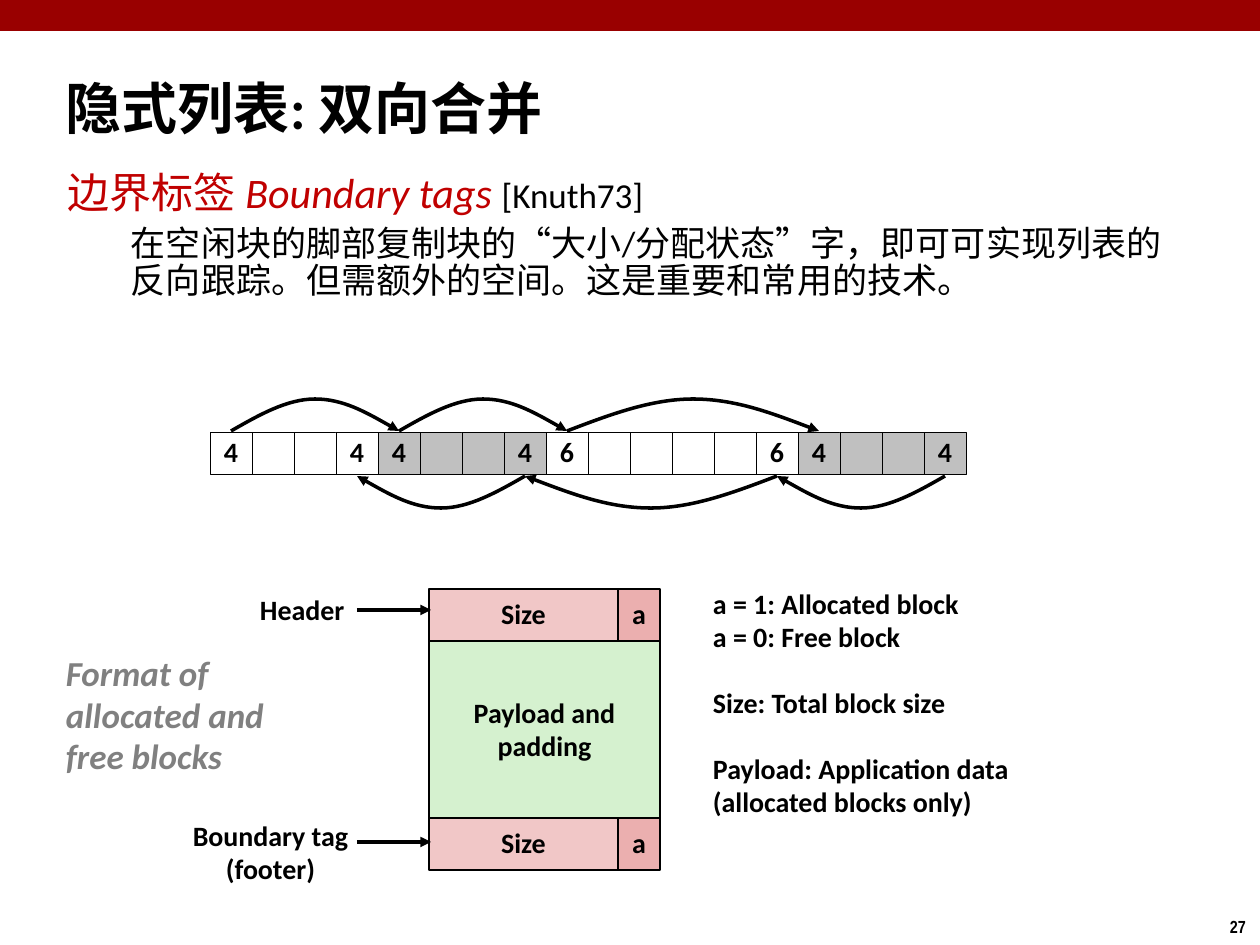
from dataclasses import dataclass
from itertools import accumulate

from lxml import etree
from pptx import Presentation
from pptx.dml.color import RGBColor
from pptx.enum.shapes import MSO_CONNECTOR, MSO_SHAPE
from pptx.enum.text import MSO_ANCHOR, PP_ALIGN
from pptx.oxml.ns import qn
from pptx.util import Emu, Pt

RECTANGLE = MSO_SHAPE.RECTANGLE
STRAIGHT = MSO_CONNECTOR.STRAIGHT
TOP, MIDDLE = MSO_ANCHOR.TOP, MSO_ANCHOR.MIDDLE
LEFT, CENTER = PP_ALIGN.LEFT, PP_ALIGN.CENTER
SCALE = 914400 / 126


@dataclass(frozen=True)
class Theme:
    font: str = "Calibri"
    number_font: str = "Arial Narrow"
    black: str = "000000"
    white: str = "FFFFFF"
    banner: str = "990000"
    accent: str = "C00000"
    caption: str = "808080"
    allocated: str = "C0C0C0"
    size_field: str = "F1C7C7"
    flag_field: str = "EBAFAF"
    payload: str = "D5F1CF"
    title_size: int = 32
    heading_size: int = 24
    body_size: int = 20
    label_size: int = 16
    number_size: int = 10
    cell_line: float = 0.25
    block_line: float = 1
    arrow_line: float = 2


THEME = Theme()
LABEL = {"name": THEME.font, "size": THEME.label_size, "bold": True, "color": THEME.black}
BODY = {"name": THEME.font, "size": THEME.body_size, "color": THEME.black}


def px(value):
    return Emu(round(value * SCALE))


def set_values(target, values):
    for name, value in values.items():
        setattr(target, name, value)


def add_span(para, text, style):
    span = para.add_run()
    span.text = text
    values = dict(style)
    span.font.color.rgb = RGBColor.from_string(values.pop("color"))
    values["size"] = Pt(values["size"])
    set_values(span.font, values)


def add_paragraphs(frame, lines, style, **layout):
    for index, line in enumerate(lines):
        para = frame.add_paragraph() if index else frame.paragraphs[0]
        set_values(para, layout)
        add_span(para, line, style)


def format_frame(frame, anchor=TOP, wrap=False):
    set_values(frame, {
        "vertical_anchor": anchor, "word_wrap": wrap,
        "margin_left": px(13), "margin_right": px(13),
        "margin_top": px(6), "margin_bottom": px(6),
    })


def add_text(page, box, lines, style=LABEL, align=LEFT, wrap=False):
    frame = page.shapes.add_textbox(*map(px, box)).text_frame
    format_frame(frame, wrap=wrap)
    add_paragraphs(frame, lines, style, alignment=align, line_spacing=0.98)
    return frame


def add_box(page, box, fill, line=None, lines=()):
    shape = page.shapes.add_shape(RECTANGLE, *map(px, box))
    shape.shadow.inherit = False
    shape.fill.solid()
    shape.fill.fore_color.rgb = RGBColor.from_string(fill)
    if line is None:
        shape.line.fill.background()
    else:
        shape.line.color.rgb = RGBColor.from_string(THEME.black)
        shape.line.width = Pt(line)
    format_frame(shape.text_frame, MIDDLE)
    add_paragraphs(shape.text_frame, lines, LABEL, alignment=CENTER, line_spacing=0.98)


def format_arrow(shape):
    shape.line.color.rgb = RGBColor.from_string(THEME.black)
    shape.line.width = Pt(THEME.arrow_line)
    line = shape.line._get_or_add_ln()
    etree.SubElement(line, qn("a:tailEnd"), type="triangle")


def add_arrow(page, start, end):
    arrow = page.shapes.add_connector(STRAIGHT, *map(px, start + end))
    format_arrow(arrow)
    etree.SubElement(arrow._element.spPr, qn("a:effectLst"))


def add_arc(page, start, end, base, peak):
    third = (end - start) / 6
    middle = (start + end) / 2
    bend = (base + peak) / 2
    points = [
        (start + third, bend), (middle - third, peak), (middle, peak),
        (middle + third, peak), (end - third, bend), (end, base),
    ]
    builder = page.shapes.build_freeform(start, base, scale=SCALE)
    builder.add_line_segments(points, close=False)
    arc = builder.convert_to_shape()
    segments = list(arc._element.iter(qn("a:lnTo")))
    for first in range(0, len(segments), 3):
        curve = etree.Element(qn("a:cubicBezTo"))
        segments[first].addprevious(curve)
        for segment in segments[first:first + 3]:
            curve.append(segment[0])
            segment.getparent().remove(segment)
    arc.shadow.inherit = False
    arc.fill.background()
    format_arrow(arc)


def add_title(page, text):
    title = page.shapes.title
    set_values(title, {"left": px(53), "top": px(68), "width": px(1207), "height": px(79)})
    format_frame(title.text_frame, MIDDLE, wrap=True)
    style = {**LABEL, "size": THEME.title_size}
    add_paragraphs(title.text_frame, [text], style, alignment=LEFT)


def add_body(page):
    frame = page.shapes.add_textbox(*map(px, (55, 169, 1145, 173))).text_frame
    format_frame(frame, wrap=True)
    heading = frame.paragraphs[0]
    heading.line_spacing = 0.83
    accent = {"name": THEME.font, "size": THEME.heading_size, "color": THEME.accent}
    add_span(heading, "边界标签 ", accent)
    add_span(heading, "Boundary tags ", {**accent, "italic": True})
    add_span(heading, "[Knuth73]", BODY)
    detail = frame.add_paragraph()
    set_values(detail, {"line_spacing": 0.88, "space_before": Pt(5.6)})
    properties = detail._p.get_or_add_pPr()
    properties.set("marL", str(px(63)))
    properties.set("indent", "0")
    add_span(detail, "在空闲块的脚部复制块的“大小/分配状态”字，即可可实现列表的"
             "反向跟踪。但需额外的空间。这是重要和常用的技术。", BODY)


def add_heap(page):
    left, top, cell = 210, 432, 42
    lengths = [4, 4, 6, 4]
    fills = [THEME.white, THEME.allocated] * 2
    starts = list(accumulate(lengths[:-1], initial=0))
    for start, length, fill in zip(starts, lengths, fills):
        for index in range(length):
            lines = [str(length)] if index in (0, length - 1) else []
            box = (left + (start + index) * cell, top, cell, cell)
            add_box(page, box, fill, THEME.cell_line, lines)
    headers = [left + start * cell + cell // 2 for start in starts]
    footers = [header + (length - 1) * cell for header, length in zip(headers, lengths)]
    for start, end in zip(headers, headers[1:]):
        add_arc(page, start, end, top - 1, top - 33)
    for end, start in zip(footers, footers[1:]):
        add_arc(page, start, end, top + cell + 2, top + cell + 34)


def add_block_format(page):
    left, size_width, flag_width, height = 429, 189, 42, 52
    add_box(page, (left, 641, size_width + flag_width, 178), THEME.payload,
            THEME.block_line, ["Payload and", "padding"])
    for top, arrow_y in ((589, 610), (818, 842)):
        add_box(page, (left, top, size_width, height), THEME.size_field,
                THEME.block_line, ["Size"])
        add_box(page, (left + size_width, top, flag_width, height), THEME.flag_field,
                THEME.block_line, ["a"])
        add_arrow(page, (357, arrow_y), (431, arrow_y))
    add_text(page, (247, 588, 111, 47), ["Header"])
    add_text(page, (179, 814, 183, 79), ["Boundary tag", "(footer)"], align=CENTER)
    caption = {**LABEL, "size": THEME.body_size, "color": THEME.caption, "italic": True}
    add_text(page, (53, 648, 224, 137), ["Format of", "allocated and", "free blocks"], caption)
    legend = add_text(page, (700, 582, 324, 280), [
        "a = 1: Allocated block", "a = 0: Free block", "Size: Total block size",
        "Payload: Application data", "(allocated blocks only)"])
    for index in (2, 3):
        legend.paragraphs[index].space_before = Pt(19)


def main():
    deck = Presentation()
    set_values(deck, {"slide_width": px(1260), "slide_height": px(945)})
    page = deck.slides.add_slide(deck.slide_layouts[5])
    add_box(page, (0, 0, 1260, 31), THEME.banner)
    number = {**LABEL, "name": THEME.number_font, "size": THEME.number_size}
    add_text(page, (1217, 911, 43, 34), ["27"], number)
    add_title(page, "隐式列表: 双向合并")
    add_body(page)
    add_heap(page)
    add_block_format(page)
    deck.save("out.pptx")


if __name__ == "__main__":
    main()
